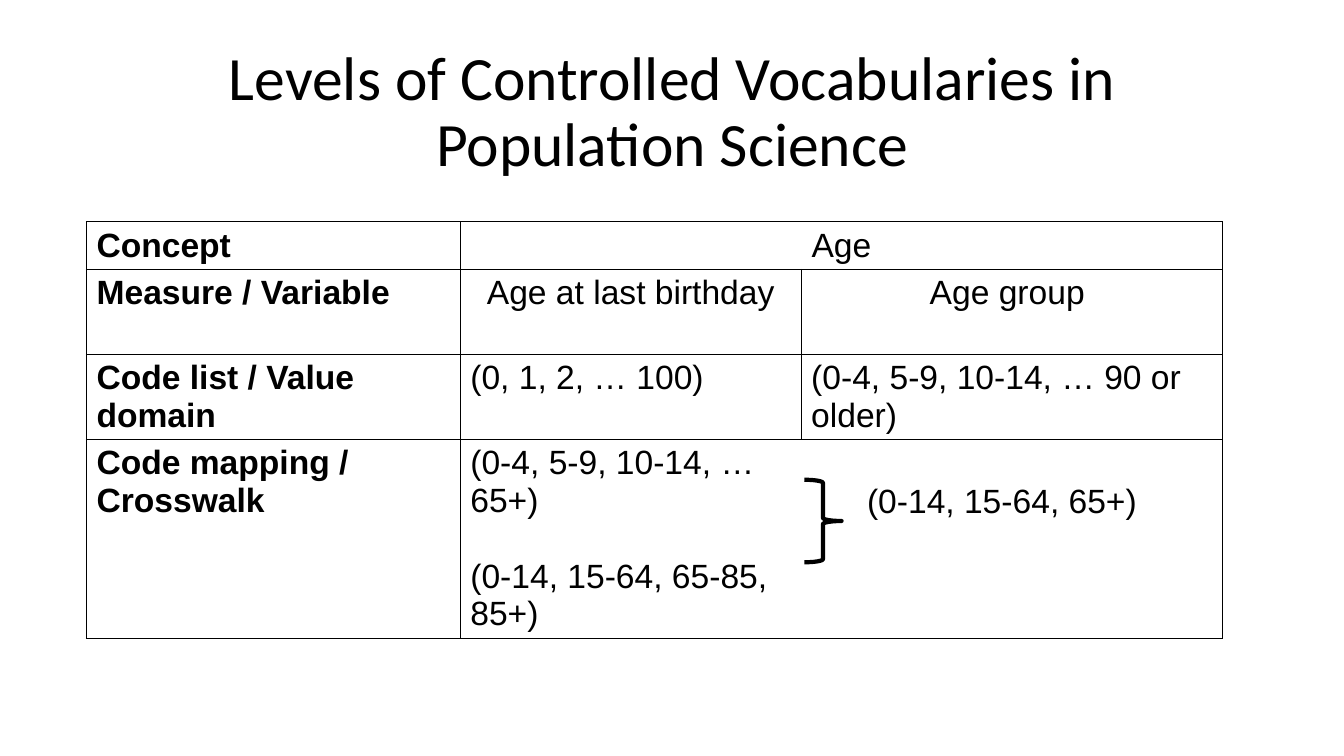
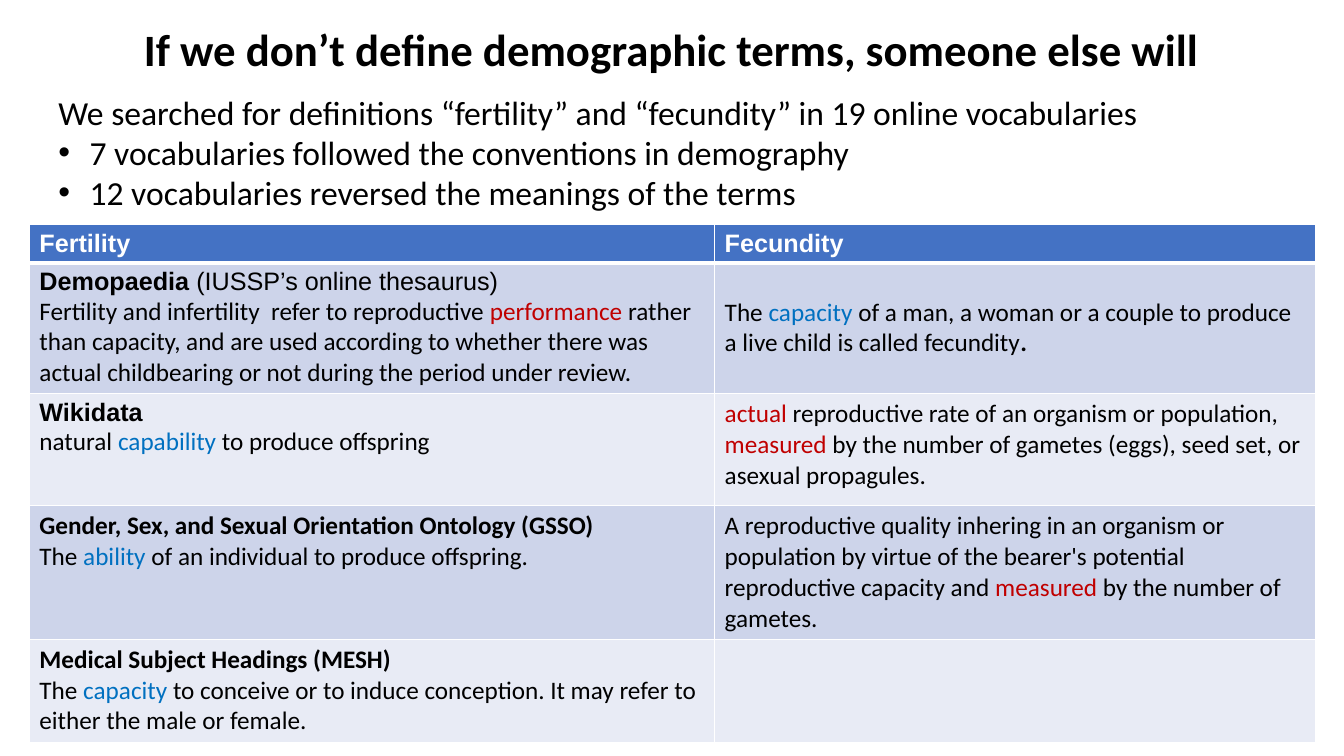
"""Builds two slides on controlled vocabularies in population science."""
import pptx
import pptx.util
import pptx.dml.color
import pptx.enum.shapes
import pptx.enum.text
import pptx.oxml
import pptx.oxml.ns
import lxml.etree

Cm = pptx.util.Cm
Pt = pptx.util.Pt
RGB = pptx.dml.color.RGBColor
ALIGN = pptx.enum.text.PP_ALIGN
ANCHOR = pptx.enum.text.MSO_ANCHOR
FIT = pptx.enum.text.MSO_AUTO_SIZE

BLACK = RGB(0x00, 0x00, 0x00)
WHITE = RGB(0xFF, 0xFF, 0xFF)
RED = RGB(0xC0, 0x00, 0x00)
BLUE = RGB(0x00, 0x70, 0xC0)
HEAD = RGB(0x44, 0x72, 0xC4)
BANDS = [RGB(0xCD, 0xD4, 0xEA), RGB(0xE8, 0xEB, 0xF5)]
INKS = {"r": RED, "u": BLUE, "w": WHITE}

LEVELS = [
    [[[("Concept", "ab")]], [[("Age", "a")]], []],
    [[[("Measure / Variable", "ab")]], [[("Age at last birthday", "a")]],
     [[("Age group ", "a")]]],
    [[[("Code list / Value domain", "ab")]], [[("(0, 1, 2, … 100)", "a")]],
     [[("(0-4, 5-9, 10-14, … 90 or older)", "a")]]],
    [[[("Code mapping / Crosswalk", "ab")]],
     [[("(0-4, 5-9, 10-14, … 65+)", "a")], [("(0-14, 15-64, 65-85, 85+)", "a")]],
     [[("(0-14, 15-64, 65+)", "a")]]],
]

TERMS = [
    [[[("Fertility", "abw")]], [[("Fecundity", "abw")]]],
    [[[("Demopaedia ", "ab"), ("(IUSSP’s online thesaurus)", "a")],
      [("Fertility and infertility  refer to reproductive", ""), (" performance", "r"),
       (" rather than capacity, and are used according to whether there was "
        "actual childbearing or not during the period under review.", "")]],
     [[("The ", ""), ("capacity", "u"),
       (" of a man, a woman or a couple to produce a live child is called fecundity", ""),
       (".", "b")]]],
    [[[("Wikidata", "ab")],
      [("natural ", ""), ("capability", "u"), (" to produce offspring", "")]],
     [[("actual", "r"), (" reproductive rate of an organism or population, ", ""),
       ("measured", "r"),
       (" by the number of gametes (eggs), seed set, or asexual propagules.", "")]]],
    [[[("Gender, Sex, and Sexual Orientation Ontology (GSSO)", "b")],
      [("The ", ""), ("ability", "u"), (" of an individual to produce offspring.", "")]],
     [[("A reproductive quality inhering in an organism or population by virtue of "
        "the bearer's potential reproductive capacity and ", ""),
       ("measured", "r"), (" by the number of gametes.", "")]]],
    [[[("Medical Subject Headings (MESH)", "b")],
      [("The ", ""), ("capacity", "u"),
       (" to conceive or to induce conception. It may refer to either the male or female.", "")]],
     []],
]

SEARCH = [
    "We searched for definitions “fertility” and “fecundity” in 19 online vocabularies",
    "7 vocabularies followed the conventions in demography",
    "12 vocabularies reversed the meanings of the terms",
]


def add_run(par, text, size, style=""):
    """Adds one run; the style letters give face, weight and ink."""
    run = par.add_run()
    run.text = text
    font = run.font
    font.size = Pt(size)
    font.name = "Arial" if "a" in style else "Calibri"
    font.bold = "b" in style
    font.color.rgb = next((INKS[key] for key in style if key in INKS), BLACK)


def fill_text(frame, pars, size):
    """Writes paragraphs of (text, style) runs into a frame."""
    for num, runs in enumerate(pars):
        par = frame.add_paragraph() if num else frame.paragraphs[0]
        for text, style in runs:
            add_run(par, text, size, style)


def add_slide(deck, title, box, size, style=""):
    """Adds a slide with a centred title."""
    slide = deck.slides.add_slide(deck.slide_layouts[5])
    head = slide.shapes.title
    head.left, head.top, head.width, head.height = [Cm(n) for n in box]
    frame = head.text_frame
    frame.word_wrap = True
    frame.auto_size = FIT.NONE
    frame.vertical_anchor = ANCHOR.MIDDLE
    par = frame.paragraphs[0]
    par.alignment = ALIGN.CENTER
    par.line_spacing = 0.9
    add_run(par, title, size, style)
    return slide


def set_edges(cell, color, widths):
    """Draws the left, right, top and bottom edges; width 0 hides one."""
    props = cell._tc.get_or_add_tcPr()
    for side, width in zip("LRTB", widths):
        line = lxml.etree.SubElement(props, pptx.oxml.ns.qn("a:ln" + side))
        line.set("w", str(Pt(width)))
        if width:
            fill = lxml.etree.SubElement(line, pptx.oxml.ns.qn("a:solidFill"))
            ink = lxml.etree.SubElement(fill, pptx.oxml.ns.qn("a:srgbClr"))
            ink.set("val", str(color))
        else:
            lxml.etree.SubElement(line, pptx.oxml.ns.qn("a:noFill"))


def add_grid(slide, data, left, top, cols, rows, size, color, edges, fills):
    """Adds a table; edges maps cells to edge widths, fills has one colour a row."""
    grid = slide.shapes.add_table(len(rows), len(cols), Cm(left), Cm(top),
                                  Cm(sum(cols)), Cm(sum(rows))).table
    grid.horz_banding = False
    grid.first_row = False
    for col, width in zip(grid.columns, cols):
        col.width = Cm(width)
    for row, high in zip(grid.rows, rows):
        row.height = Cm(high)
    for r, line in enumerate(data):
        for c, pars in enumerate(line):
            cell = grid.cell(r, c)
            set_edges(cell, color, edges.get((r, c), (1, 1, 1, 1)))
            if fills[r] is None:
                cell.fill.background()
            else:
                cell.fill.solid()
                cell.fill.fore_color.rgb = fills[r]
            fill_text(cell.text_frame, pars, size)
    return grid


def add_levels(deck):
    """Builds the slide on levels of vocabularies."""
    slide = add_slide(deck, "Levels of Controlled Vocabularies in Population Science",
                      (2.34, 1.02, 29.21, 3.68), 44)
    edges = {(3, 1): (1, 0, 1, 1), (3, 2): (0, 1, 1, 1)}
    grid = add_grid(slide, LEVELS, 2.18, 5.59, (9.42, 8.59, 10.62),
                    (1.19, 2.14, 2.14, 5.02), 24, BLACK, edges, [None] * 4)
    grid.cell(0, 1).merge(grid.cell(0, 2))
    for spot in [(0, 1), (1, 1), (1, 2)]:
        grid.cell(*spot).text_frame.paragraphs[0].alignment = ALIGN.CENTER
    grid.cell(3, 1).text_frame.paragraphs[1].space_before = Pt(27.6)
    goal = grid.cell(3, 2)
    goal.margin_top = Cm(1.1)
    goal.margin_left = Cm(1.66)
    brace = slide.shapes.add_shape(pptx.enum.shapes.MSO_SHAPE.RIGHT_BRACE,
                                   Cm(20.27), Cm(12.09), Cm(0.94), Cm(2.08))
    brace.shadow.inherit = False
    brace.fill.background()
    brace.line.color.rgb = BLACK
    brace.line.width = Pt(3)


def add_terms(deck):
    """Builds the slide on definitions of terms."""
    slide = add_slide(deck, "If we don’t define demographic terms, someone else will",
                      (0.43, 0.41, 32.99, 1.78), 32, "b")
    edges = {(r, c): (1, 1, 3 if r else 1, 1 if r else 3)
             for r in (0, 1) for c in (0, 1)}
    fills = [HEAD] + BANDS * 2
    grid = add_grid(slide, TERMS, 0.74, 5.66, (17.27, 15.14),
                    (0.95, 3.28, 2.83, 3.36, 2.6), 18, WHITE, edges, fills)
    grid.cell(1, 1).margin_top = Cm(0.86)
    box = slide.shapes.add_textbox(Cm(1.22), Cm(2.18), Cm(30.73), Cm(3.33))
    frame = box.text_frame
    frame.word_wrap = True
    fill_text(frame, [[(text, "")] for text in SEARCH], 24)
    for par in frame.paragraphs[1:]:
        props = par._p.get_or_add_pPr()
        props.set("marL", str(Cm(0.79)))
        props.set("indent", str(-Cm(0.79)))
        face = lxml.etree.SubElement(props, pptx.oxml.ns.qn("a:buFont"))
        face.set("typeface", "Arial")
        mark = lxml.etree.SubElement(props, pptx.oxml.ns.qn("a:buChar"))
        mark.set("char", "•")


def main():
    """Builds and saves the deck."""
    deck = pptx.Presentation()
    deck.slide_width = Cm(33.87)
    deck.slide_height = Cm(19.05)
    add_levels(deck)
    add_terms(deck)
    deck.save("out.pptx")


if __name__ == "__main__":
    main()
